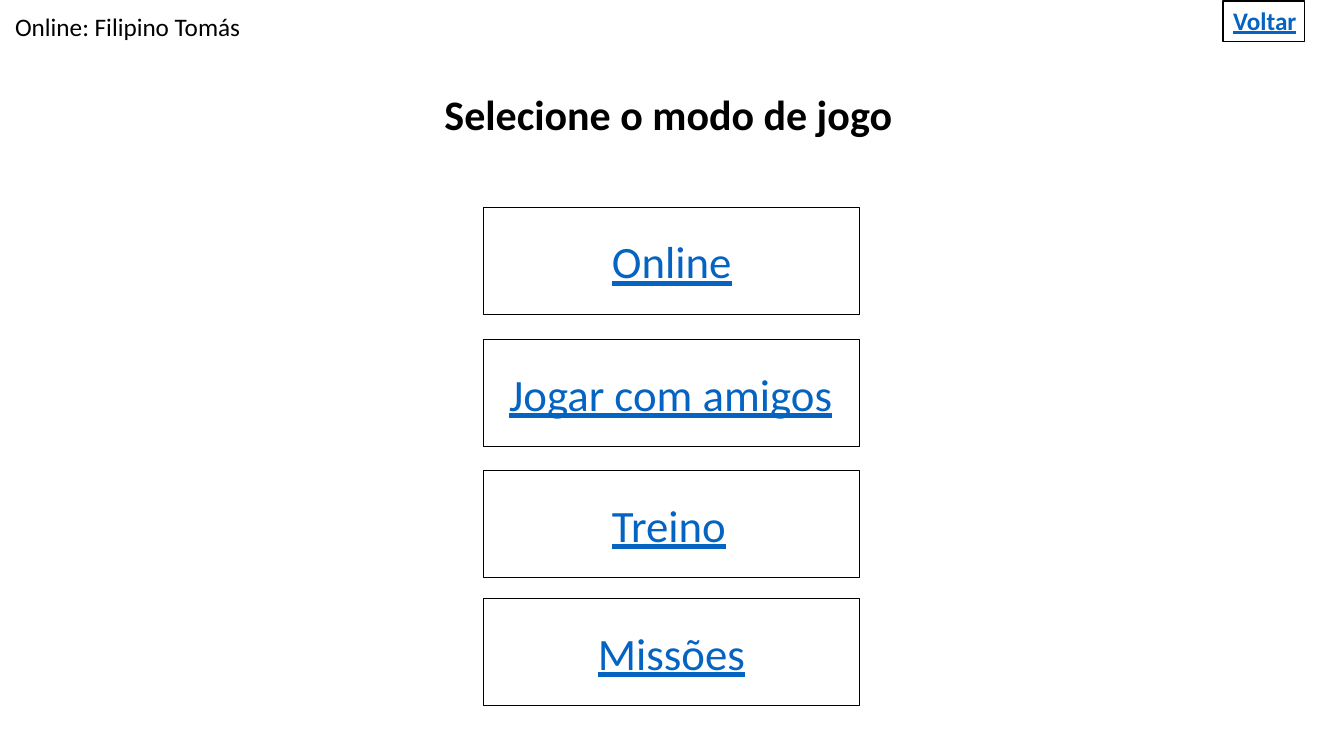
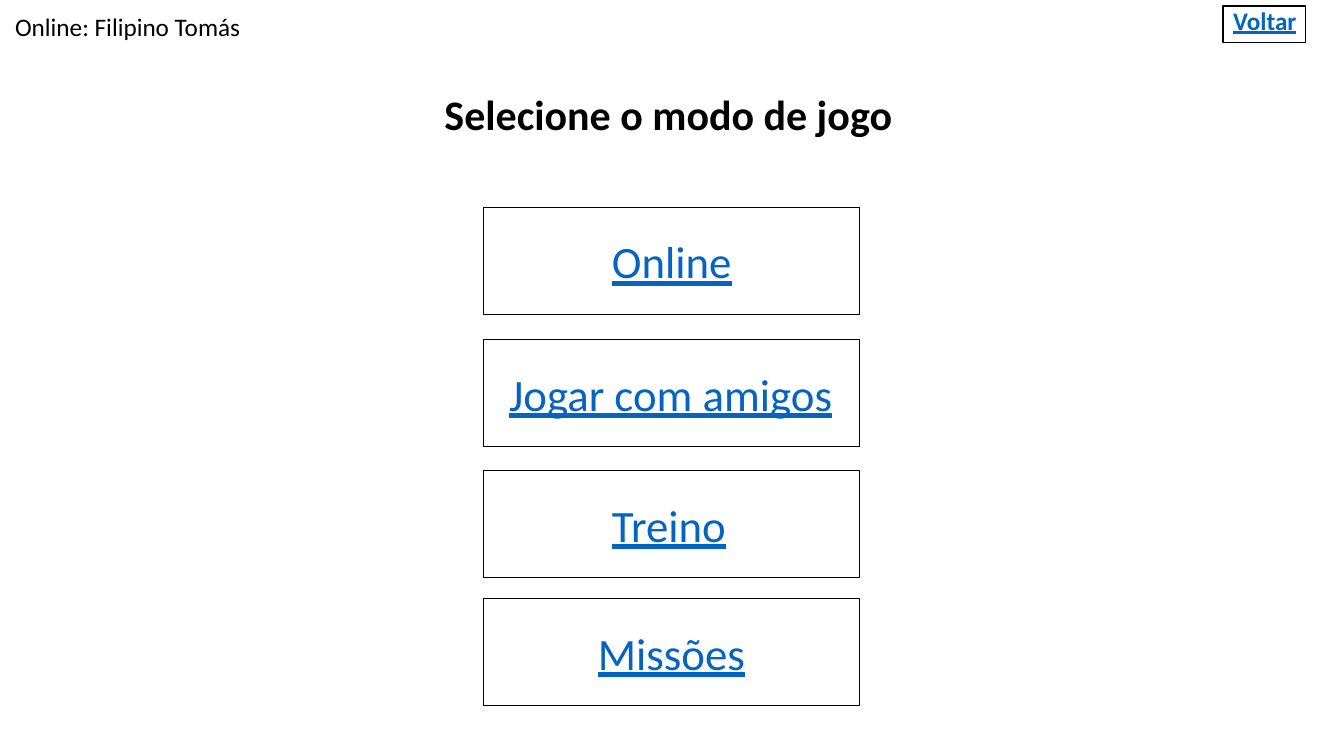
from dataclasses import dataclass

import pptx
import pptx.dml.color
import pptx.enum.shapes
import pptx.enum.text
import pptx.util

Inches = pptx.util.Inches


@dataclass(frozen=True)
class Theme:
    font: str = "Calibri"
    ink: str = "000000"
    link: str = "0563C1"
    small: int = 18
    title: int = 30
    button: int = 32
    thin_line: float = 0.75
    frame_line: float = 1


THEME = Theme()
MODES = [
    ("Online", 2.06, 1.27),
    ("Jogar com amigos", 3.37, 0.25),
    ("Treino", 4.67, 1.27),
    ("Missões", 5.94, 1.13),
]
BACK_FRAMES = [(0, 0, 0.81, 0.4), (0, 0.05, 0.82, 0.36)]


def color(value):
    return pptx.dml.color.RGBColor.from_string(value)


def write(text_frame, text, size, ink, bold=False, underline=False):
    para = text_frame.paragraphs[0]
    para.text = text
    para.alignment = pptx.enum.text.PP_ALIGN.LEFT
    para.font.name = THEME.font
    para.font.size = pptx.util.Pt(size)
    para.font.color.rgb = color(ink)
    para.font.bold = bold
    para.font.underline = underline


def add_text(page, box, text, size, bold=False, inset=0.1):
    text_frame = page.shapes.add_textbox(*map(Inches, box)).text_frame
    text_frame.word_wrap = True
    text_frame.margin_left = Inches(inset)
    write(text_frame, text, size, THEME.ink, bold)


def add_outline(page, box, line_width):
    outline = page.shapes.add_shape(
        pptx.enum.shapes.MSO_SHAPE.RECTANGLE, *map(Inches, box))
    outline.shadow.inherit = False
    outline.fill.background()
    outline.line.color.rgb = color(THEME.ink)
    outline.line.width = pptx.util.Pt(line_width)
    return outline


def add_back_link(page, box, frame):
    left, top, width, height = box
    table = page.shapes.add_table(1, 1, *map(Inches, box)).table
    table.first_row = False
    table.horz_banding = False
    cell = table.cell(0, 0)
    cell.fill.background()
    write(cell.text_frame, "Voltar", THEME.small, THEME.link, True, True)
    shift_x, shift_y, frame_width, frame_height = frame
    add_outline(page, (left + shift_x, top + shift_y, frame_width, frame_height),
                THEME.frame_line)


def add_mode_button(page, box, label, inset):
    text_frame = add_outline(page, box, THEME.thin_line).text_frame
    text_frame.word_wrap = True
    text_frame.vertical_anchor = pptx.enum.text.MSO_ANCHOR.MIDDLE
    text_frame.margin_left = Inches(inset)
    text_frame.margin_right = 0
    write(text_frame, label, THEME.button, THEME.link, underline=True)


def add_mode_page(deck, back_frame):
    page = deck.slides.add_slide(deck.slide_layouts[6])
    add_back_link(page, (12.13, 0.01, 0.97, 0.41), back_frame)
    add_text(page, (0, 0.06, 6.67, 0.4), "Online: Filipino Tomás",
             THEME.small, inset=0.15)
    add_text(page, (4.31, 0.83, 4.7, 0.61), "Selecione o modo de jogo",
             THEME.title, bold=True)
    for label, top, inset in MODES:
        add_mode_button(page, (4.8, top, 3.73, 1.06), label, inset)


def main():
    deck = pptx.Presentation()
    deck.slide_width = Inches(13.33)
    deck.slide_height = Inches(7.5)
    for back_frame in BACK_FRAMES:
        add_mode_page(deck, back_frame)
    deck.save("out.pptx")


if __name__ == "__main__":
    main()
